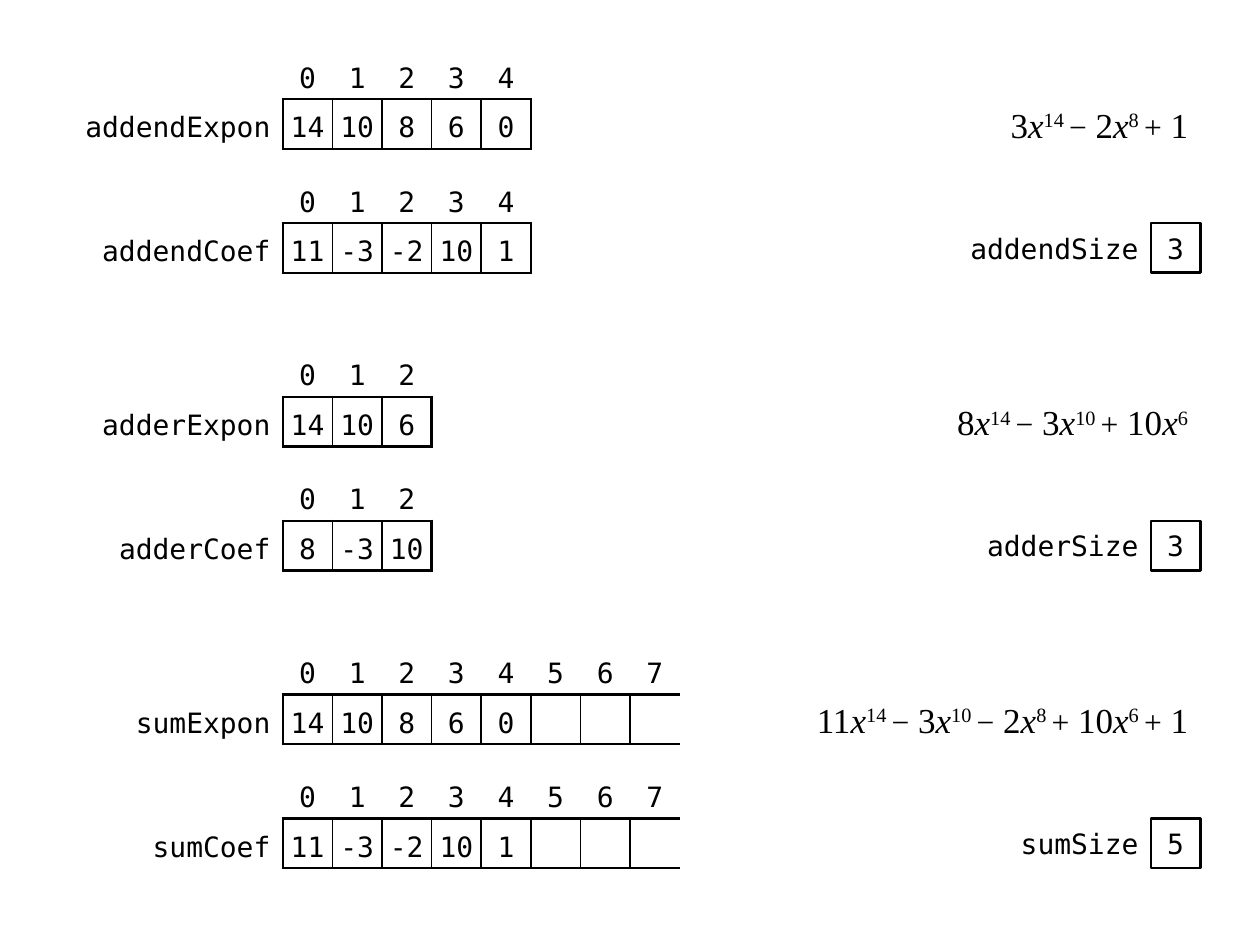
from lxml import etree
from pptx import Presentation
from pptx import util as u
from pptx.dml.color import RGBColor
from pptx.enum import shapes, text
from pptx.oxml.ns import qn

BLACK = RGBColor(0, 0, 0)
WHITE = RGBColor(255, 255, 255)
MONO = "DejaVu Sans Mono"
SERIF = "Times New Roman"
NO_STYLE = "{2D5ABB26-0587-4C30-8999-92F81FD0307C}"
CELL = 1
ARRAY_LEFT = 5.7
BOX_LEFT = 23.2
THICK, THIN = 1.5, 1

POLYNOMIALS = [
    {
        "name": "addend", "top": 1, "label_width": 4.5, "size": "3", "size_width": 4,
        "exponents": ["14", "10", "8", "6", "0"],
        "coefficients": ["11", "-3", "-2", "10", "1"],
        "terms": [("", "3", "14"), ("−", "2", "8"), ("+", "1", "")],
        "terms_width": 5, "spare": 0,
    },
    {
        "name": "adder", "top": 7, "label_width": 4, "size": "3", "size_width": 4,
        "exponents": ["14", "10", "6"],
        "coefficients": ["8", "-3", "10"],
        "terms": [("", "8", "14"), ("−", "3", "10"), ("+", "10", "6")],
        "terms_width": 6, "spare": 0,
    },
    {
        "name": "sum", "top": 13, "label_width": 3.5, "size": "5", "size_width": 3,
        "exponents": ["14", "10", "8", "6", "0"],
        "coefficients": ["11", "-3", "-2", "10", "1"],
        "terms": [("", "11", "14"), ("−", "3", "10"), ("−", "2", "8"),
                  ("+", "10", "6"), ("+", "1", "")],
        "terms_width": 9, "spare": 3,
    },
]


def style_font(font, name=MONO, size=16):
    font.name = name
    font.size = u.Pt(size)
    font.color.rgb = BLACK


def add_run(paragraph, content, size=20, italic=False, superscript=False):
    run = paragraph.add_run()
    run.text = content
    style_font(run.font, SERIF, size)
    run.font.italic = italic
    if superscript:
        run.font._element.set("baseline", "30000")


def add_text_box(slide, right, top, width):
    box = slide.shapes.add_textbox(u.Cm(right - width), u.Cm(top), u.Cm(width), u.Cm(CELL))
    frame = box.text_frame
    frame.word_wrap = True
    frame.vertical_anchor = text.MSO_ANCHOR.MIDDLE
    frame.margin_top = frame.margin_bottom = 0
    frame.margin_left = frame.margin_right = u.Cm(0.25)
    paragraph = frame.paragraphs[0]
    paragraph.alignment = text.PP_ALIGN.RIGHT
    return paragraph


def add_terms(slide, top, width, terms):
    paragraph = add_text_box(slide, BOX_LEFT + CELL, top, width)
    for index, (sign, coefficient, exponent) in enumerate(terms):
        if sign:
            add_run(paragraph, sign, size=18)
            coefficient = " " + coefficient
        add_run(paragraph, coefficient)
        if exponent:
            gap = " " if index < len(terms) - 1 else ""
            add_run(paragraph, "x", italic=True)
            add_run(paragraph, exponent + gap, superscript=True)


def add_size(slide, top, width, label, value):
    paragraph = add_text_box(slide, BOX_LEFT, top, width)
    paragraph.text = label
    style_font(paragraph.runs[0].font)

    box = slide.shapes.add_shape(shapes.MSO_SHAPE.RECTANGLE,
                                 u.Cm(BOX_LEFT), u.Cm(top), u.Cm(CELL), u.Cm(CELL))
    box.shadow.inherit = False
    box.fill.solid()
    box.fill.fore_color.rgb = WHITE
    box.line.color.rgb = BLACK
    box.line.width = u.Pt(THICK)
    frame = box.text_frame
    frame.margin_left = frame.margin_right = frame.margin_top = frame.margin_bottom = 0
    frame.vertical_anchor = text.MSO_ANCHOR.MIDDLE
    frame.text = value
    frame.paragraphs[0].alignment = text.PP_ALIGN.CENTER
    style_font(frame.paragraphs[0].runs[0].font)


def set_borders(cell, **widths):
    properties = cell._tc.get_or_add_tcPr()
    for side in "LRTB":
        if side in widths:
            line = etree.SubElement(properties, qn(f"a:ln{side}"), w=str(u.Pt(widths[side])))
            fill = etree.SubElement(line, qn("a:solidFill"))
            etree.SubElement(fill, qn("a:srgbClr"), val=str(BLACK))


def fill_cell(cell, content, alignment=text.PP_ALIGN.CENTER):
    cell.fill.background()
    cell.vertical_anchor = text.MSO_ANCHOR.MIDDLE
    cell.margin_left = cell.margin_right = cell.margin_top = cell.margin_bottom = 0
    if content:
        cell.text_frame.text = content
        paragraph = cell.text_frame.paragraphs[0]
        paragraph.alignment = alignment
        paragraph.line_spacing = 1.25
        style_font(paragraph.runs[0].font)


def add_array(slide, top, label_width, label, values, spare):
    count = len(values) + spare
    table = slide.shapes.add_table(
        2, count + 1, u.Cm(ARRAY_LEFT - label_width), u.Cm(top),
        u.Cm(label_width + count * CELL), u.Cm(2 * CELL)).table
    table.first_row = table.horz_banding = False
    table._tbl.tblPr.find(qn("a:tableStyleId")).text = NO_STYLE
    for column, width in zip(table.columns, [label_width] + [CELL] * count):
        column.width = u.Cm(width)

    fill_cell(table.cell(0, 0), "")
    label_cell = table.cell(1, 0)
    set_borders(label_cell, R=THICK)
    fill_cell(label_cell, label, text.PP_ALIGN.RIGHT)
    label_cell.margin_left, label_cell.margin_right = u.Cm(0.1), u.Cm(0.25)

    for index, value in enumerate(values + [""] * spare):
        header, cell = table.cell(0, index + 1), table.cell(1, index + 1)
        borders = {"L": THIN if index else THICK, "T": THICK, "B": THICK}
        if index < count - 1:
            borders["R"] = THIN
        elif not spare:
            borders["R"] = THICK
        set_borders(header, B=THICK)
        set_borders(cell, **borders)
        fill_cell(header, str(index))
        fill_cell(cell, value)


def main():
    presentation = Presentation()
    presentation.slide_width, presentation.slide_height = u.Cm(25.4), u.Cm(19.05)
    slide = presentation.slides.add_slide(presentation.slide_layouts[6])
    for item in POLYNOMIALS:
        name, top, width = item["name"], item["top"], item["label_width"]
        add_array(slide, top, width, name + "Expon", item["exponents"], item["spare"])
        add_array(slide, top + 2.5, width - 0.5, name + "Coef", item["coefficients"], item["spare"])
        add_terms(slide, top + 1, item["terms_width"], item["terms"])
        add_size(slide, top + 3.5, item["size_width"], name + "Size", item["size"])
    presentation.save("out.pptx")


if __name__ == "__main__":
    main()
